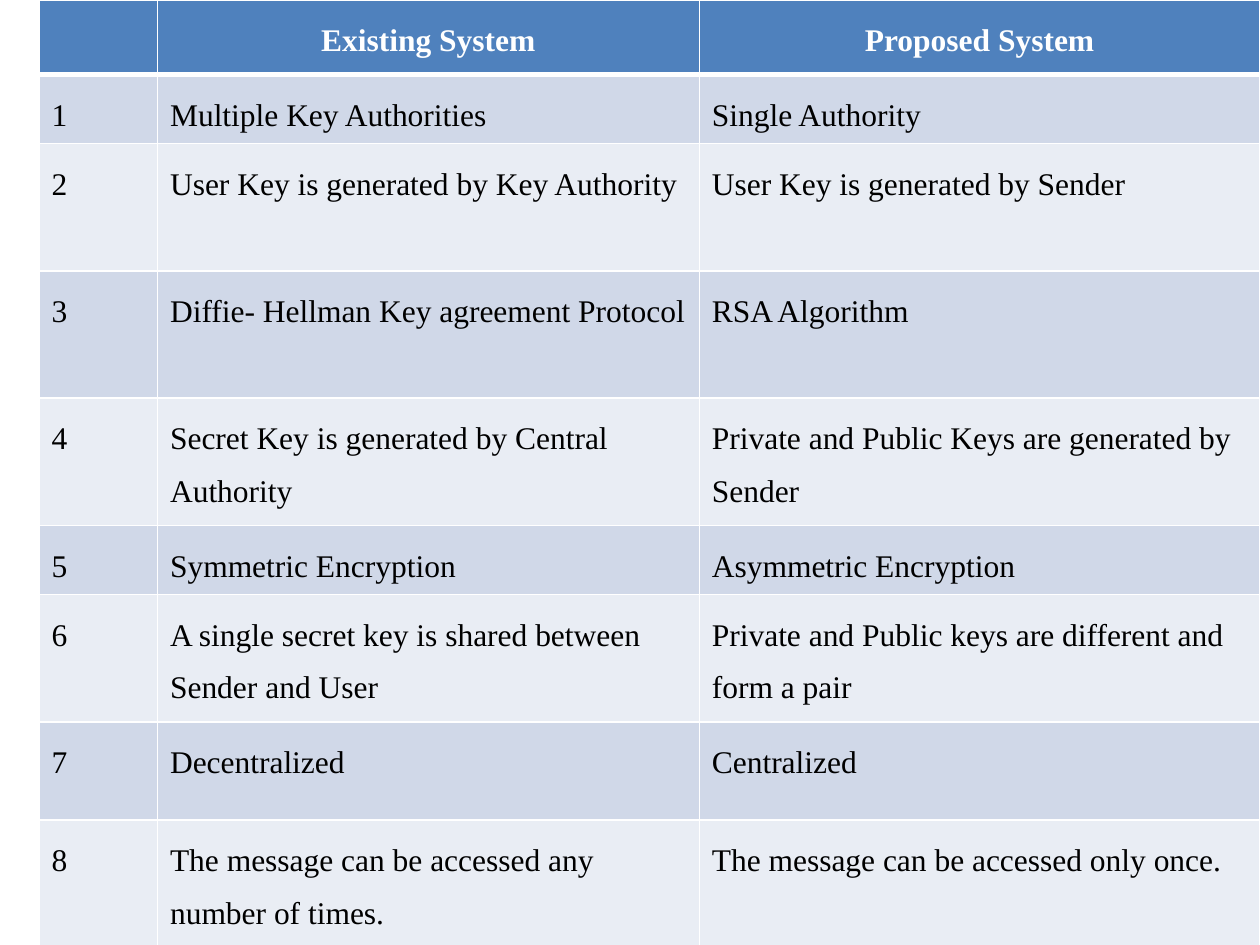
import pptx
import pptx.dml.color
import pptx.enum.text
import pptx.oxml.ns
import pptx.util
import lxml.etree

Inches = pptx.util.Inches
Pt = pptx.util.Pt

COLORS = {
    "header": "4F81BD",
    "band_dark": "D0D8E8",
    "band_light": "E9EDF4",
    "border": "FFFFFF",
    "header_text": "FFFFFF",
    "body_text": "000000",
}

HEADINGS = ("", "Existing System", "Proposed System")
COMPARISONS = [
    ("Multiple Key Authorities", "Single Authority"),
    ("User Key is generated by Key Authority", "User Key is generated by Sender"),
    ("Diffie- Hellman Key agreement Protocol", "RSA Algorithm"),
    ("Secret Key is generated by Central Authority",
     "Private and Public Keys are generated by Sender"),
    ("Symmetric Encryption", "Asymmetric Encryption"),
    ("A single secret key is shared between Sender and User",
     "Private and Public keys are different and form a pair"),
    ("Decentralized", "Centralized"),
    ("The message can be accessed any number of times.",
     "The message can be accessed only once."),
]
COLUMN_WIDTHS = (0.94, 4.3, 4.45)
ROW_HEIGHTS = (0.59, 0.55, 1.01, 1.01, 1.01, 0.55, 1.01, 0.78, 1.01)


class SlideBuilder:
    font_name = "Times New Roman"
    font_size = 18
    line_spacing = 1.5

    def __init__(self, slide):
        self.slide = slide

    def color(self, name):
        return pptx.dml.color.RGBColor.from_string(COLORS[name])

    def border(self, cell, side, width):
        qualified = pptx.oxml.ns.qn
        properties = cell._tc.get_or_add_tcPr()
        line = lxml.etree.SubElement(properties, qualified(f"a:ln{side}"), w=str(Pt(width)))
        fill = lxml.etree.SubElement(line, qualified("a:solidFill"))
        lxml.etree.SubElement(fill, qualified("a:srgbClr"), val=COLORS["border"])

    def cell(self, cell, text, row_index):
        is_header = row_index == 0
        widths = {"L": 1, "R": 1, "T": 3 if row_index == 1 else 1, "B": 3 if is_header else 1}
        for side, width in widths.items():
            self.border(cell, side, width)
        band = "band_dark" if row_index % 2 else "band_light"
        cell.fill.solid()
        cell.fill.fore_color.rgb = self.color("header" if is_header else band)

        cell.text = text
        paragraph = cell.text_frame.paragraphs[0]
        paragraph.line_spacing = self.line_spacing
        if is_header:
            paragraph.alignment = pptx.enum.text.PP_ALIGN.CENTER
        font = paragraph.font
        font.name = self.font_name
        font.size = Pt(self.font_size)
        font.bold = is_header
        font.color.rgb = self.color("header_text" if is_header else "body_text")

    def table(self, left, top, column_widths, row_heights, rows):
        frame = self.slide.shapes.add_table(
            len(rows), len(column_widths), Inches(left), Inches(top),
            Inches(sum(column_widths)), Inches(sum(row_heights)))
        table = frame.table
        for column, width in zip(table.columns, column_widths):
            column.width = Inches(width)
        for row_index, (row, height, texts) in enumerate(zip(table.rows, row_heights, rows)):
            row.height = Inches(height)
            for cell, text in zip(row.cells, texts):
                self.cell(cell, text, row_index)


def main():
    presentation = pptx.Presentation()
    presentation.slide_width = Inches(10)
    presentation.slide_height = Inches(7.5)
    blank_layout = presentation.slide_layouts[6]
    builder = SlideBuilder(presentation.slides.add_slide(blank_layout))
    numbered_rows = [(str(number), *systems) for number, systems in enumerate(COMPARISONS, 1)]
    builder.table(0.31, 0, COLUMN_WIDTHS, ROW_HEIGHTS, [HEADINGS, *numbered_rows])
    presentation.save("out.pptx")


if __name__ == "__main__":
    main()
